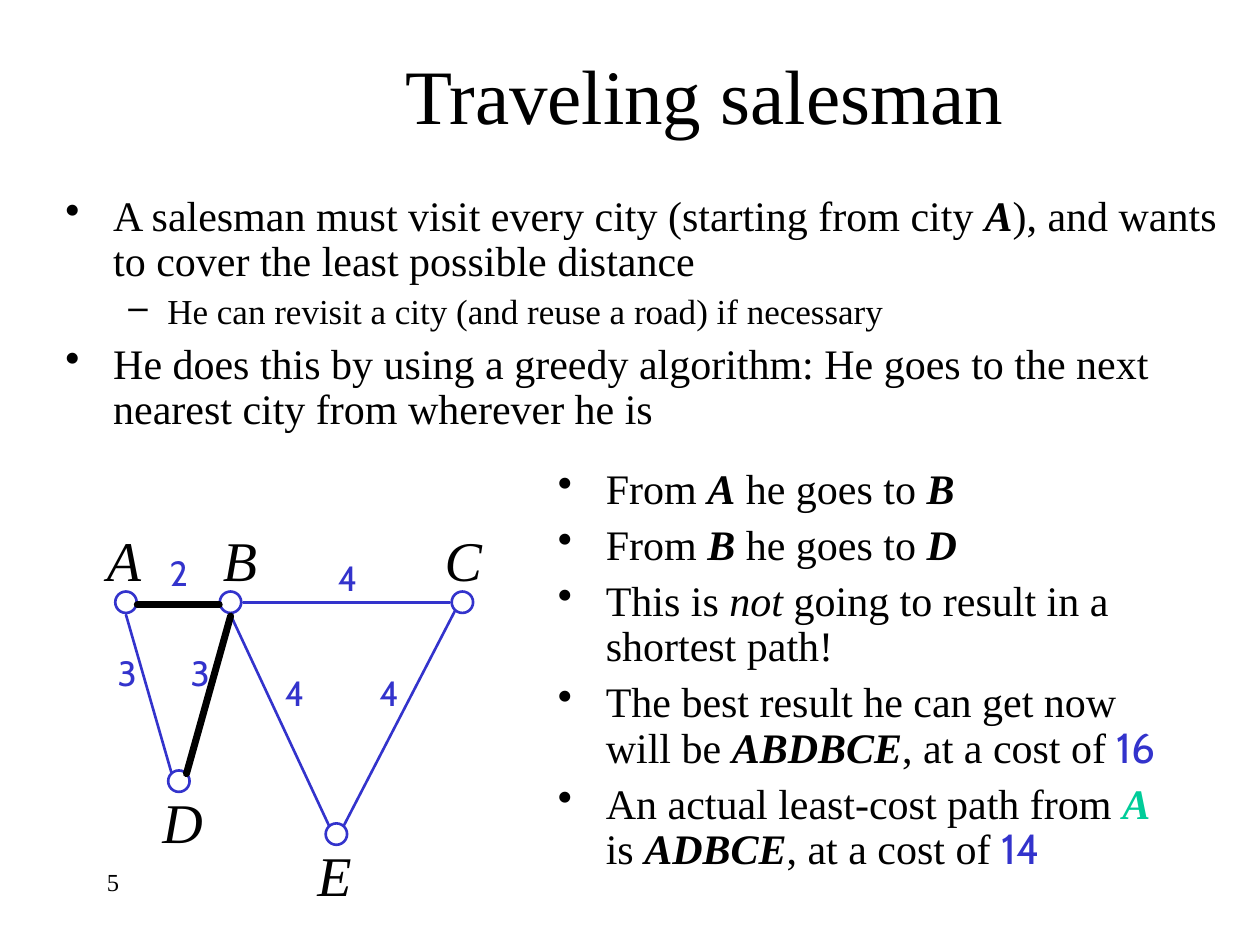
from pptx import Presentation
from pptx.dml.color import RGBColor
from pptx.enum.shapes import MSO_CONNECTOR, MSO_SHAPE
from pptx.enum.text import MSO_ANCHOR, PP_ALIGN
from pptx.util import Inches, Pt
from lxml.etree import SubElement
from pptx.oxml.ns import qn

COLORS = {"ink": "000000", "blue": "3333CC", "green": "00CC99"}
SERIF, SANS = "Times New Roman", "Cabin"
KEY = {"bold": True, "italic": True}
COST = {"font": SANS, "color": "blue"}
# Bullet level: character, left margin, hanging indent, text size, space before
LEVELS = [("•", 0.38, 0.38, 24, 6), ("–", 0.81, 0.31, 20, 5)]

prs = Presentation()
prs.slide_width, prs.slide_height = Inches(10), Inches(7.5)
slide = prs.slides.add_slide(prs.slide_layouts[6])


def add_text(text, left, top, width, height, size=24, font=SERIF, color="ink",
             italic=False, align=PP_ALIGN.LEFT, anchor=MSO_ANCHOR.TOP, wrap=True):
    """text is a string, or a list of (level, runs) bullets; a run is a string
    or a (string, format) pair."""
    frame = slide.shapes.add_textbox(
        Inches(left), Inches(top), Inches(width), Inches(height)).text_frame
    frame.word_wrap, frame.vertical_anchor = wrap, anchor
    paragraphs = [(None, [text])] if isinstance(text, str) else text
    for index, (level, runs) in enumerate(paragraphs):
        paragraph = frame.add_paragraph() if index else frame.paragraphs[0]
        paragraph.alignment = align
        run_size = size
        if level is not None:
            bullet, margin, hanging, run_size, before = LEVELS[level]
            paragraph.level = level
            paragraph.line_spacing = 0.9
            paragraph.space_before = Pt(before if index else 0)
            properties = paragraph._p.get_or_add_pPr()
            properties.set("marL", str(Inches(margin)))
            properties.set("indent", str(-Inches(hanging)))
            SubElement(properties, qn("a:buChar")).set("char", bullet)
        for item in runs:
            words, style = (item, {}) if isinstance(item, str) else item
            run = paragraph.add_run()
            run.text = words
            run.font.size = Pt(run_size)
            run.font.name = style.get("font", font)
            run.font.bold = style.get("bold", False)
            run.font.italic = style.get("italic", italic)
            run.font.color.rgb = RGBColor.from_string(COLORS[style.get("color", color)])


def add_road(start, end, color="blue", weight=1.5):
    road = slide.shapes.add_connector(
        MSO_CONNECTOR.STRAIGHT, *(Inches(value) for value in start + end))
    road.line.color.rgb = RGBColor.from_string(COLORS[color])
    road.line.width = Pt(weight)
    road.line._get_or_add_ln().set("cap", "rnd")
    SubElement(road._element.spPr, qn("a:effectLst"))


# Slide number and title
add_text("5", 0.75, 6.83, 2.08, 0.5, size=14)
add_text("Traveling salesman", 1.33, 0.33, 8.52, 0.83, size=44,
         align=PP_ALIGN.CENTER, anchor=MSO_ANCHOR.MIDDLE)

# Problem statement
add_text([
    (0, ["A salesman must visit every city (starting from city ", ("A", KEY),
         "), and wants to cover the least possible distance"]),
    (1, ["He can revisit a city (and reuse a road) if necessary"]),
    (0, ["He does this by using a greedy algorithm: He goes to the next "
         "nearest city from wherever he is"]),
], 0.42, 1.5, 9.38, 2.15)

# Walk through the greedy route
add_text([
    (0, ["From ", ("A", KEY), " he goes to ", ("B", KEY)]),
    (0, ["From ", ("B", KEY), " he goes to ", ("D", KEY)]),
    (0, ["This is ", ("not", {"italic": True}), " going to result in a shortest path!"]),
    (0, ["The best result he can get now will be ", ("ABDBCE", KEY),
         ", at a cost of ", ("16", COST)]),
    (0, ["An actual least-cost path from ", ("A", {**KEY, "color": "green"}), " is ",
         ("ADBCE", KEY), ", at a cost of ", ("14", COST)]),
], 4.33, 3.67, 5.17, 3.5)

# Cities: centre of the circle, then left and top of the letter
CITY_SIZE = 0.17
cities = {
    "A": (1.0, 4.78, 0.75, 4.12),
    "B": (1.83, 4.78, 1.67, 4.12),
    "C": (3.67, 4.78, 3.43, 4.12),
    "D": (1.42, 6.2, 1.19, 6.2),
    "E": (2.67, 6.62, 2.42, 6.62),
}
for name, (x, y, label_left, label_top) in cities.items():
    city = slide.shapes.add_shape(
        MSO_SHAPE.OVAL, Inches(x - CITY_SIZE / 2), Inches(y - CITY_SIZE / 2),
        Inches(CITY_SIZE), Inches(CITY_SIZE))
    city.shadow.inherit = False
    city.fill.background()
    city.line.color.rgb = RGBColor.from_string(COLORS["blue"])
    city.line.width = Pt(1.5)
    add_text(name, label_left, label_top, 0.47, 0.63, size=32, italic=True,
             align=PP_ALIGN.CENTER, anchor=MSO_ANCHOR.MIDDLE, wrap=False)

# Roads: start, end, distance, left and top of the distance
roads = [
    ((1.09, 4.78), (1.75, 4.78), "2", 1.24, 4.33),
    ((1.0, 4.88), (1.36, 6.13), "3", 0.83, 5.12),
    ((1.83, 4.88), (1.48, 6.13), "3", 1.41, 5.12),
    ((1.93, 4.78), (3.57, 4.78), "4", 2.58, 4.37),
    ((1.83, 4.88), (2.61, 6.55), "4", 2.16, 5.28),
    ((3.61, 4.85), (2.73, 6.55), "4", 2.91, 5.28),
]
for start, end, distance, label_left, label_top in roads:
    add_road(start, end)
    add_text(distance, label_left, label_top, 0.36, 0.43, size=20, font=SANS,
             color="blue", align=PP_ALIGN.CENTER, anchor=MSO_ANCHOR.MIDDLE, wrap=False)

# Roads travelled so far: A to B, B to D
for start, end in [((1.09, 4.8), (1.74, 4.8)), ((1.83, 4.89), (1.48, 6.14))]:
    add_road(start, end, color="ink", weight=4)

prs.save("out.pptx")
